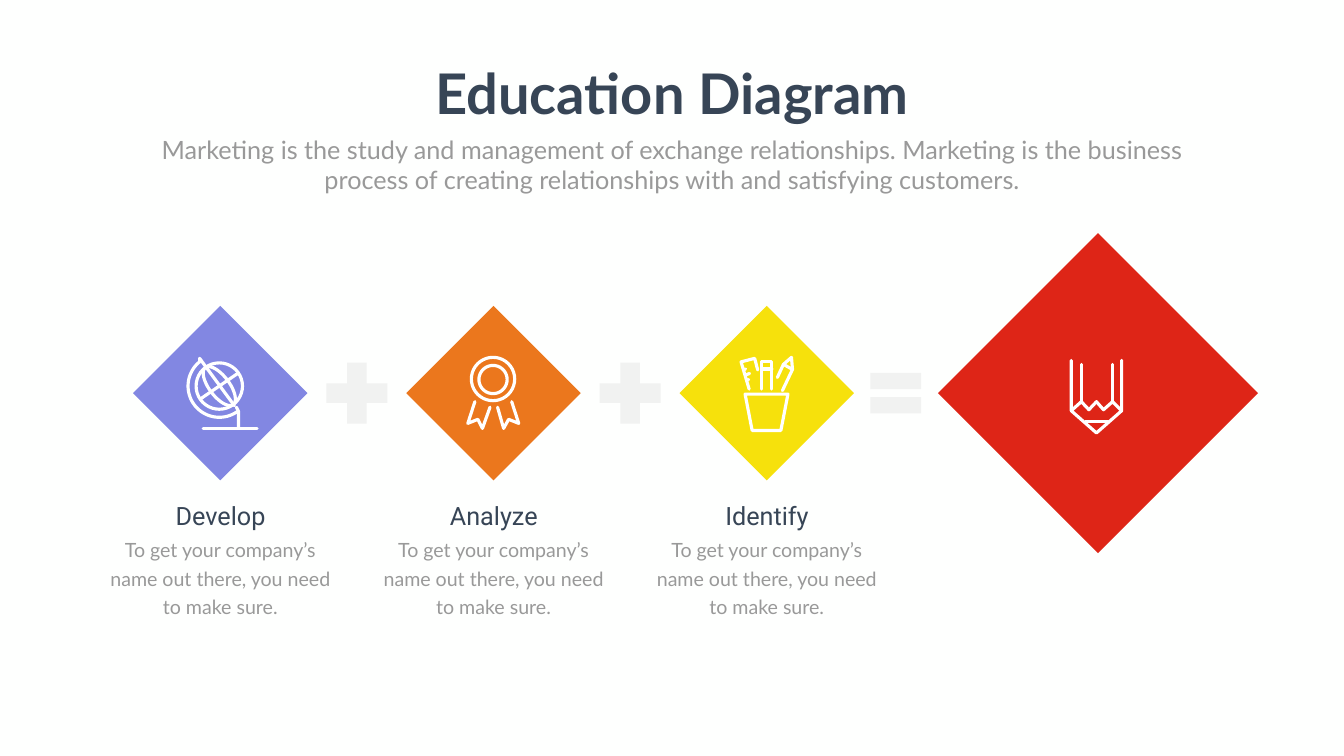
from dataclasses import dataclass
from math import cos, radians, sin

from lxml import etree
from pptx import Presentation
from pptx.dml.color import RGBColor
from pptx.enum import shapes, text
from pptx.oxml import ns
from pptx.util import Inches, Pt

KIND = shapes.MSO_SHAPE


@dataclass(frozen=True)
class Theme:
    back: str = "FEFFFE"
    dark: str = "374556"
    grey: str = "999999"
    sign: str = "808080"
    icon: str = "FFFFFF"
    red: str = "DE2517"
    title: int = 80
    lead: int = 36
    body: int = 28
    pitch: float = 40.8
    stroke: float = 4.5
    head: str = "Roboto"
    font: str = "Lato"


LOOK = Theme()


def arc(x, y, wide, high, start=0, end=360, tilt=0):
    """Points along a tilted ellipse, with angles in degrees."""
    turn = radians(tilt)
    points = []
    for step in range(41):
        angle = radians(start + (end - start) * step / 40)
        across, down = wide * cos(angle), high * sin(angle)
        points.append((x + across * cos(turn) - down * sin(turn),
                       y + across * sin(turn) + down * cos(turn)))
    return points


# Strokes of each icon, in inches from the centre of its diamond
GLOBE = [
    arc(-.02, -.14, .46, .46),
    arc(-.02, -.14, .46, .2, tilt=53),
    [(-.41, -.69), (.28, .25)],
    [(-.4, .12), (.36, -.4)],
    [(-.41, -.69)] + arc(-.02, -.14, .62, .62, 231, 53),
    [(.32, .28), (.36, .36), (.36, .7)],
    [(-.34, .7), (.73, .7)],
]
MEDAL = [
    arc(-.01, -.28, .43, .43),
    arc(-.01, -.27, .28, .28),
    [(-.37, .17), (-.51, .6), (-.31, .52), (-.22, .7), (-.07, .28)],
    [(.36, .17), (.5, .6), (.3, .52), (.2, .7), (.08, .28)],
]
CUP = [
    [(-.43, .02), (.42, .02), (.28, .74), (-.29, .74), (-.43, .02)],
    [(-.35, -.08), (-.51, -.62), (-.24, -.69), (-.18, -.46)],
    [(-.46, -.46), (-.42, -.48)],
    [(-.42, -.36), (-.34, -.39)],
    [(-.39, -.26), (-.36, -.27)],
    [(-.1, -.08), (-.1, -.63), (.1, -.63), (.1, -.08)],
    [(-.1, -.48), (.1, -.48)],
    [(.21, -.31), (.33, -.57), (.49, -.71), (.51, -.47), (.31, -.05)],
    [(.33, -.57), (.51, -.47)],
]
PENCIL = [
    [(-.53, -.65), (-.53, .35), (-.03, .79), (.47, .35), (.47, -.65)],
    [(-.33, -.57), (-.33, .17)],
    [(.29, -.57), (.29, .17)],
    [(-.53, .35), (-.33, .17), (-.18, .33), (-.03, .17),
     (.11, .33), (.29, .17), (.47, .35)],
    [(-.25, .57), (.2, .57)],
]

NOTE = "To get your company’s name out there, you need to make sure."
STEPS = [
    ("Develop", "8287E2", GLOBE),
    ("Analyze", "EB771D", MEDAL),
    ("Identify", "F6E10C", CUP),
]


def write(slide, box, words, size, color, font=LOOK.font, bold=False,
          wrap=True, pitch=None):
    frame = slide.shapes.add_textbox(*map(Inches, box)).text_frame
    frame.word_wrap = wrap
    line = frame.paragraphs[0]
    line.alignment = text.PP_ALIGN.CENTER
    if pitch:
        line.line_spacing = Pt(pitch)
    run = line.add_run()
    run.text = words
    run.font.name, run.font.size, run.font.bold = font, Pt(size), bold
    run.font.color.rgb = RGBColor.from_string(color)


def block(slide, kind, x, y, size, color, alpha=None):
    """Place a square preset shape centred on x, y; alpha is in percent."""
    box = (x - size / 2, y - size / 2, size, size)
    shape = slide.shapes.add_shape(kind, *map(Inches, box))
    shape.shadow.inherit = False
    shape.fill.solid()
    shape.fill.fore_color.rgb = RGBColor.from_string(color)
    shape.line.fill.background()
    if alpha:
        tone = shape._element.spPr.find(".//" + ns.qn("a:srgbClr"))
        etree.SubElement(tone, ns.qn("a:alpha"), val=str(alpha * 1000))


def sketch(slide, x, y, strokes):
    """Draw all strokes of an icon as one outline around x, y."""
    paths = [[(Inches(x + a), Inches(y + b)) for a, b in stroke]
             for stroke in strokes]
    pen = slide.shapes.build_freeform(*paths[0][0])
    pen.add_line_segments(paths[0][1:], close=False)
    for path in paths[1:]:
        pen.move_to(*path[0])
        pen.add_line_segments(path[1:], close=False)
    shape = pen.convert_to_shape()
    shape.shadow.inherit = False
    shape.fill.background()
    shape.line.color.rgb = RGBColor.from_string(LOOK.icon)
    shape.line.width = Pt(LOOK.stroke)
    edge = shape.line._get_or_add_ln()
    edge.set("cap", "rnd")
    etree.SubElement(edge, ns.qn("a:round"))


def gem(slide, x, y, size, color, strokes):
    block(slide, KIND.DIAMOND, x, y, size, color)
    sketch(slide, x, y, strokes)


def header(slide, left, top, width):
    write(slide, (left, top, width, 1.45), "Education Diagram",
          LOOK.title, LOOK.dark, bold=True, wrap=False)
    write(slide, (left, top + 1.49, width, 1.31),
          "Marketing is the study and management of exchange relationships. "
          "Marketing is the business process of creating relationships with "
          "and satisfying customers.", LOOK.lead, LOOK.grey)


def step(slide, x, y, name, color, strokes):
    gem(slide, x, y, 3.46, color, strokes)
    write(slide, (x - 2.66, y + 2.07, 5.33, .66), name,
          LOOK.lead, LOOK.dark, font=LOOK.head)
    write(slide, (x - 2.45, y + 2.73, 4.9, 1.77), NOTE,
          LOOK.body, LOOK.grey, pitch=LOOK.pitch)


def chain(slide, x, y, gap):
    """Lay out the sum of steps from the first centre x, y."""
    for place, item in enumerate(STEPS):
        spot = x + place * gap
        step(slide, spot, y, *item)
        if place:
            block(slide, KIND.MATH_PLUS, spot - gap / 2, y, 1.65,
                  LOOK.sign, alpha=10)
    block(slide, KIND.MATH_EQUAL, x + 13.4, y, 1.37, LOOK.sign, alpha=10)
    gem(slide, x + 17.41, y, 6.35, LOOK.red, PENCIL)


def main():
    deck = Presentation()
    deck.slide_width, deck.slide_height = Inches(26.66), Inches(15)
    slide = deck.slides.add_slide(deck.slide_layouts[6])
    fill = slide.background.fill
    fill.solid()
    fill.fore_color.rgb = RGBColor.from_string(LOOK.back)
    header(slide, 2.92, 1.12, 20.82)
    chain(slide, 4.37, 7.8, 5.42)
    deck.save("out.pptx")


if __name__ == "__main__":
    main()
